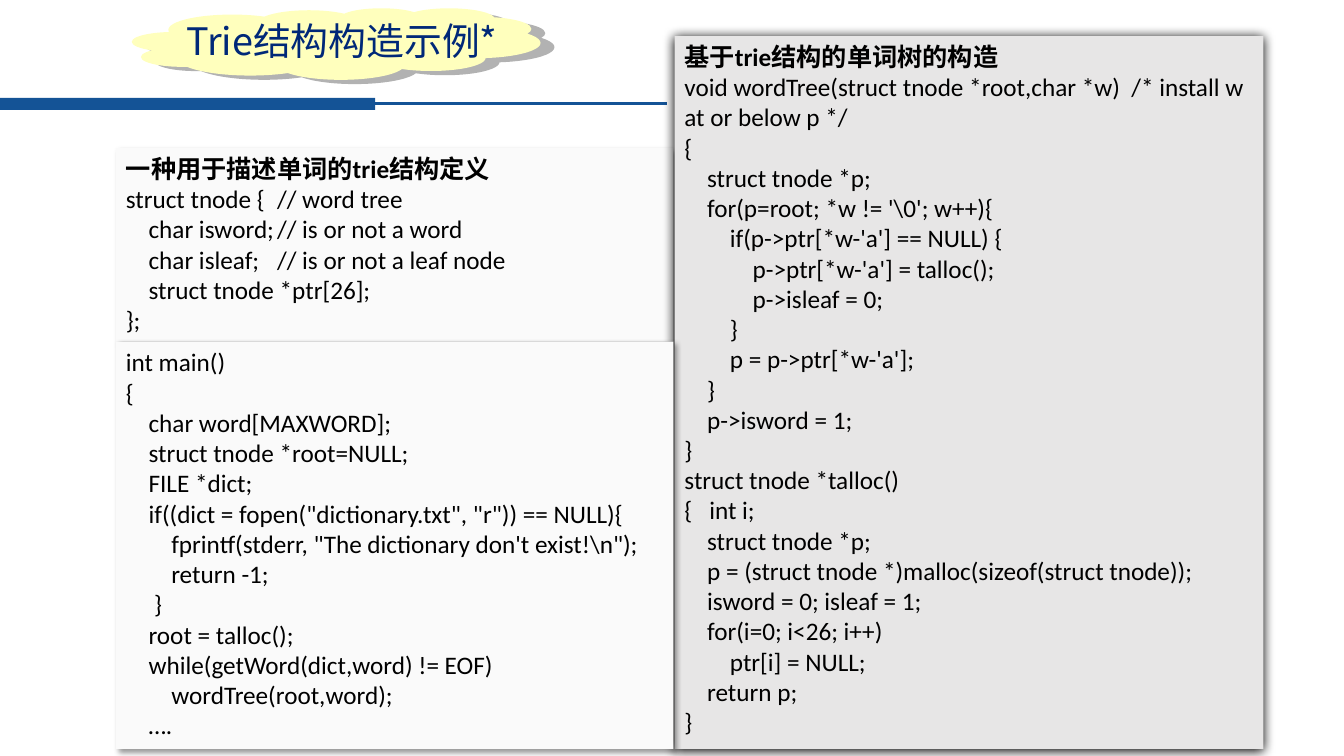
from dataclasses import dataclass

import pptx
import pptx.dml.color
import pptx.enum.shapes
import pptx.enum.text
import pptx.oxml.ns
import pptx.util
from lxml import etree

Inches = pptx.util.Inches
Pt = pptx.util.Pt
qn = pptx.oxml.ns.qn
SHAPES = pptx.enum.shapes.MSO_SHAPE
BLUE = "145396"
CJK_FONT = "Noto Sans CJK SC"

STRUCT_CODE = """一种用于描述单词的trie结构定义
struct tnode {\t// word tree
    char isword;\t// is or not a word
    char isleaf;\t// is or not a leaf node
    struct tnode *ptr[26];
};"""

TREE_CODE = r"""基于trie结构的单词树的构造
void wordTree(struct tnode *root,char *w)  /* install w at or below p */
{
    struct tnode *p;
    for(p=root; *w != '\0'; w++){
        if(p->ptr[*w-'a'] == NULL) {
            p->ptr[*w-'a'] = talloc();
            p->isleaf = 0;
        }
        p = p->ptr[*w-'a'];
    }
    p->isword = 1;
}
struct tnode *talloc()
{   int i;
    struct tnode *p;
    p = (struct tnode *)malloc(sizeof(struct tnode));
    isword = 0; isleaf = 1;
    for(i=0; i<26; i++)
        ptr[i] = NULL;
    return p;
}"""

MAIN_CODE = r"""int main()
{
    char word[MAXWORD];
    struct tnode *root=NULL;
    FILE *dict;
    if((dict = fopen("dictionary.txt", "r")) == NULL){
        fprintf(stderr, "The dictionary don't exist!\n");
        return -1;
     }
    root = talloc();
    while(getWord(dict,word) != EOF)
        wordTree(root,word);
    …."""


@dataclass(frozen=True)
class Box:
    left: float
    top: float
    width: float
    height: float

    def lengths(self) -> list:
        return [Inches(v) for v in (self.left, self.top, self.width, self.height)]


@dataclass(frozen=True)
class Shadow:
    color: str
    opacity: int
    blur: float
    distance: float
    angle: int


@dataclass(frozen=True)
class CodePanel:
    box: Box
    fill: str
    shadow: Shadow
    code: str
    has_heading: bool


SOFT_SHADOW = Shadow("000000", 40, 4, 3, 45)
DARK_SHADOW = Shadow("000000", 100, 8.5, 1, 90)
CLOUD_SHADOW = Shadow("B2B2B2", 100, 0, 10.4, 17)

PANELS = [
    CodePanel(Box(1.15, 1.47, 5.53, 1.92), "FAFAFA", SOFT_SHADOW, STRUCT_CODE, True),
    CodePanel(Box(6.69, 0.36, 5.84, 7.07), "E7E6E6", DARK_SHADOW, TREE_CODE, True),
    CodePanel(Box(1.15, 3.39, 5.53, 4.04), "FAFAFA", SOFT_SHADOW, MAIN_CODE, False),
]


def rgb(color: str) -> pptx.dml.color.RGBColor:
    return pptx.dml.color.RGBColor.from_string(color)


def add_filled_shape(slide, preset, box: Box, fill: str):
    shape = slide.shapes.add_shape(preset, *box.lengths())
    shape.shadow.inherit = False
    shape.fill.solid()
    shape.fill.fore_color.rgb = rgb(fill)
    shape.line.fill.background()
    return shape


def add_shadow(shape, shadow: Shadow) -> None:
    effects = shape._element.spPr.find(qn("a:effectLst"))
    outer = etree.SubElement(effects, qn("a:outerShdw"), {
        "blurRad": str(Pt(shadow.blur)),
        "dist": str(Pt(shadow.distance)),
        "dir": str(shadow.angle * 60000),
        "algn": "ctr",
        "rotWithShape": "0",
    })
    color = etree.SubElement(outer, qn("a:srgbClr"), val=shadow.color)
    etree.SubElement(color, qn("a:alpha"), val=str(shadow.opacity * 1000))


def write_lines(shape, lines: list[str], frame_format: dict, font: dict,
                color: str, bold_lines: int = 0) -> None:
    frame = shape.text_frame
    for name, value in frame_format.items():
        setattr(frame, name, value)
    for index, line in enumerate(lines):
        paragraph = frame.add_paragraph() if index else frame.paragraphs[0]
        paragraph.alignment = pptx.enum.text.PP_ALIGN.LEFT
        run = paragraph.add_run()
        run.text = line
        for name, value in {**font, "bold": index < bold_lines}.items():
            setattr(run.font, name, value)
        run.font.color.rgb = rgb(color)
        etree.SubElement(run._r.get_or_add_rPr(), qn("a:ea"), typeface=CJK_FONT)


def add_header_rule(slide) -> None:
    bar = add_filled_shape(slide, SHAPES.RECTANGLE, Box(0, 0.97, 3.72, 0.12), BLUE)
    rule = slide.shapes.add_connector(
        pptx.enum.shapes.MSO_CONNECTOR.STRAIGHT,
        Inches(3.72), Inches(1.03), Inches(6.62), Inches(1.03))
    rule.begin_connect(bar, 3)
    rule.line.color.rgb = rgb(BLUE)
    rule.line.width = Pt(2.25)
    etree.SubElement(rule._element.spPr, qn("a:effectLst"))


def add_title(slide) -> None:
    cloud = add_filled_shape(slide, SHAPES.CLOUD_CALLOUT,
                             Box(1.31, 0.08, 4.05, 0.71), "FFFFBD")
    cloud.adjustments[0] = -0.2
    cloud.adjustments[1] = 0.17
    add_shadow(cloud, CLOUD_SHADOW)
    title = slide.shapes.add_textbox(*Box(1.75, 0.13, 4.33, 0.55).lengths())
    write_lines(title, ["Trie结构构造示例*"],
                {"word_wrap": True,
                 "vertical_anchor": pptx.enum.text.MSO_ANCHOR.MIDDLE,
                 "margin_top": 0, "margin_bottom": 0},
                {"name": CJK_FONT, "size": Pt(27)}, "002878")


def add_code_panel(slide, panel: CodePanel) -> None:
    shape = add_filled_shape(slide, SHAPES.RECTANGLE, panel.box, panel.fill)
    add_shadow(shape, panel.shadow)
    write_lines(shape, panel.code.split("\n"),
                {"word_wrap": True,
                 "vertical_anchor": pptx.enum.text.MSO_ANCHOR.TOP},
                {"name": "Calibri", "size": Pt(18)}, "000000",
                bold_lines=int(panel.has_heading))


def main() -> None:
    presentation = pptx.Presentation()
    presentation.slide_width = Inches(13.33)
    presentation.slide_height = Inches(7.5)
    slide = presentation.slides.add_slide(presentation.slide_layouts[6])
    add_header_rule(slide)
    add_title(slide)
    for panel in PANELS:
        add_code_panel(slide, panel)
    presentation.save("out.pptx")


if __name__ == "__main__":
    main()
